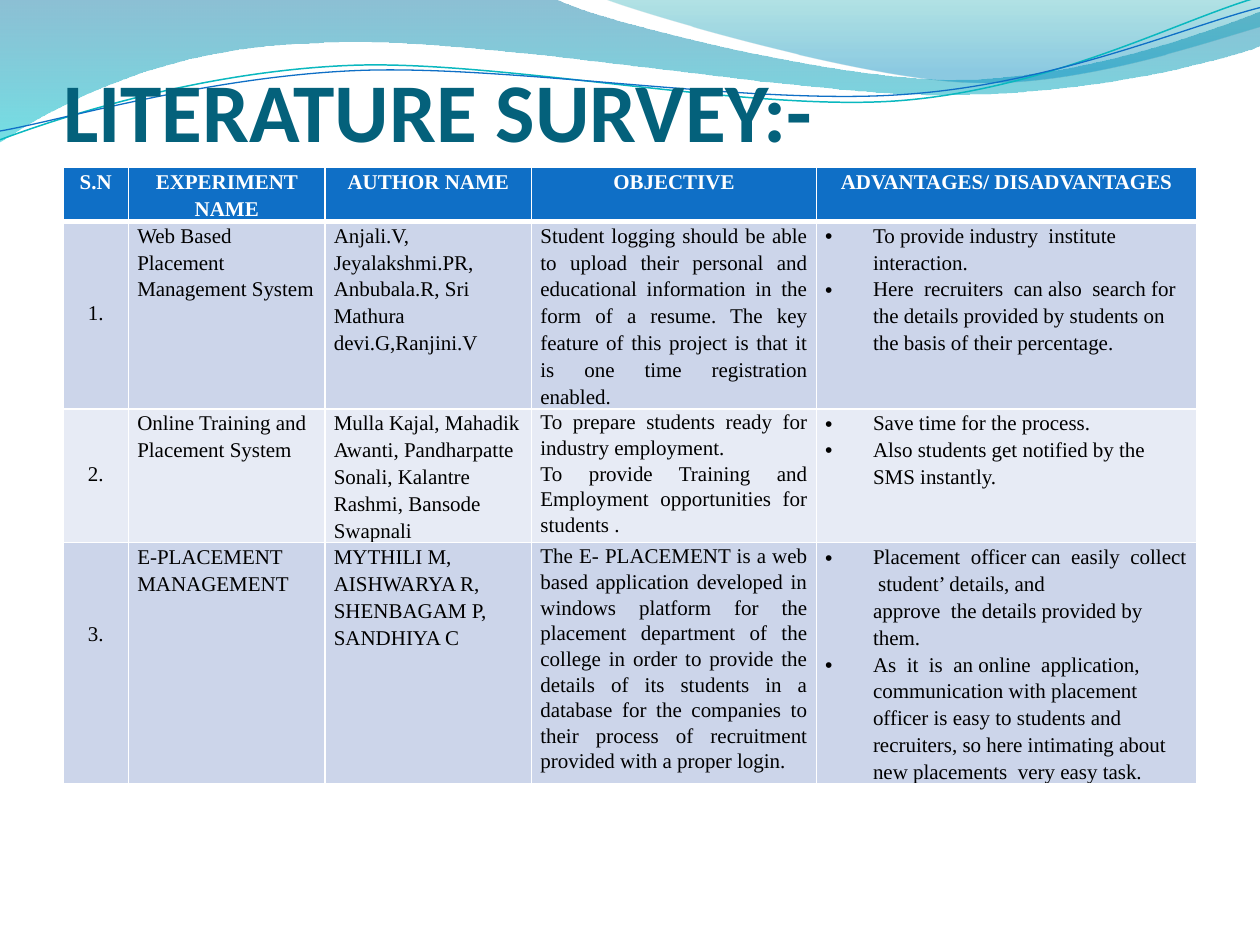
import math
from dataclasses import dataclass

from lxml import etree
from pptx import Presentation
from pptx.dml.color import RGBColor
from pptx.enum.text import MSO_ANCHOR, MSO_AUTO_SIZE, PP_ALIGN
from pptx.oxml.ns import qn
from pptx.util import Inches, Pt

LEFT, CENTER, JUSTIFY = PP_ALIGN.LEFT, PP_ALIGN.CENTER, PP_ALIGN.JUSTIFY
TOP, NO_FIT = MSO_ANCHOR.TOP, MSO_AUTO_SIZE.NONE


@dataclass(frozen=True)
class Theme:
    """Colours, fonts and type sizes of the slide."""
    title: str = "04617B"
    header: str = "0F6FC6"
    bands: tuple = ("CCD5EA", "E7EBF5")
    white: str = "FFFFFF"
    black: str = "000000"
    teal: str = "0AB8BF"
    title_font: str = "Calibri"
    body_font: str = "Times New Roman"
    title_size: float = 47.7
    body_size: float = 12


THEME = Theme()

# Each wave: box, then start point, cubic curves (6 numbers) and lines (2 numbers).
# Each gradient stop: position, colour, opacity, all in percent but the colour.
FILLED_WAVES = [
    ((-0.01, -0.01, 10.02, 1.14),
     [(0, 0), (4.4, -0.01), (4.76, 0.17, 6.64, 0.63, 7.58, 0.63),
      (8.53, 0.63, 9.58, 0.26, 10, 0.09), (10.01, 0.36),
      (9.83, 0.44, 8.7, 0.76, 7.46, 0.75), (6.22, 0.75, 3.82, 0.28, 2.57, 0.34),
      (1.29, 0.36, 0.46, 0.83, -0.01, 1.13), (0, 0)],
     [(0, "0074A1", 45), (100, "00C6CF", 55)]),
    ((4.79, -0.01, 5.21, 0.7),
     [(4.79, -0.01), (5.09, 0.11, 6.82, 0.62, 7.69, 0.65),
      (8.56, 0.69, 9.61, 0.32, 10, 0.21), (10, 0), (4.79, -0.01)],
     [(0, "00A1A9", 30), (80, "008BBF", 45)]),
]
LINE_TURN = 357.3
LINE_WAVES = [
    ((-0.02, 0.22, 10.02, 0.71),
     [(0, 1.11), (0.48, 0.93, 1.58, 0.57, 2.77, 0.52),
      (3.95, 0.47, 5.93, 0.89, 7.13, 0.8), (8.33, 0.71, 9.38, 0.15, 9.98, -0.02)],
     THEME.teal, 0.85),
    ((-0.02, 0.3, 10.03, 0.58),
     [(0, 1.04), (0.47, 0.96, 1.64, 0.61, 2.83, 0.56),
      (4.03, 0.51, 5.97, 0.84, 7.17, 0.75), (8.36, 0.67, 9.41, 0.21, 10, 0.06)],
     THEME.header, 0.75),
]

COLUMNS = [0.52, 1.56, 1.64, 2.26, 3.02]
ROW_HEIGHT, TABLE_HEIGHT = 0.41, 5.29
NUMBER_TOPS = [0.61, 0.4, 0.61]
OBJECTIVE_SPACING = [1.15, 1.1, 1.1]
HEADERS = ["S.N", "EXPERIMENT NAME", "AUTHOR NAME", "OBJECTIVE",
           "ADVANTAGES/ DISADVANTAGES"]
PAPERS = [
    ("Web Based Placement Management System",
     "Anjali.V, Jeyalakshmi.PR, Anbubala.R, Sri Mathura devi.G,Ranjini.V",
     ["Student logging should be able to upload their personal and educational "
      "information in the form of a resume. The key feature of this project is "
      "that it is one time registration enabled."],
     ["To provide industry  institute interaction.",
      "Here  recruiters  can also  search for  the details provided by students "
      "on the basis of their percentage."]),
    ("Online Training and Placement System",
     "Mulla Kajal, Mahadik Awanti, Pandharpatte Sonali, Kalantre Rashmi, "
     "Bansode Swapnali",
     ["To prepare students ready for industry employment.",
      "To provide Training and Employment opportunities for students ."],
     ["Save time for the process.",
      "Also students get notified by the SMS instantly."]),
    ("E-PLACEMENT MANAGEMENT",
     "MYTHILI M, AISHWARYA R, SHENBAGAM P, SANDHIYA C",
     ["The E- PLACEMENT is a web based application developed in windows platform "
      "for the placement department of the college in order to provide the details "
      "of its students in a database for the companies to their process of "
      "recruitment provided with a proper login."],
     ["Placement  officer can  easily  collect  student\u2019 details, and\t approve  "
      "the details provided by them.",
      "As  it  is  an online  application, communication with placement officer is "
      "easy to students and recruiters, so here intimating about new placements  "
      "very easy task."]),
]


def add(parent, tag, **attrs):
    """Append a DrawingML element and return it."""
    return etree.SubElement(parent, qn(tag), {k: str(v) for k, v in attrs.items()})


def add_wave(slide, box, outline, turn=0, close=False):
    """Draw a curved outline in its box, which is turned about its centre."""
    left, top, width, height = box
    corners = [(left + width, top), (left + width, top + height), (left, top + height)]
    builder = slide.shapes.build_freeform(Inches(left), Inches(top))
    builder.add_line_segments([(Inches(x), Inches(y)) for x, y in corners])
    sp = builder.convert_to_shape()
    sp.shadow.inherit = False
    sp.rotation = turn
    cos, sin = math.cos(math.radians(turn)), math.sin(math.radians(turn))
    wave = next(sp.element.iter(qn("a:path")))
    for child in list(wave):
        wave.remove(child)
    for i, part in enumerate(outline):
        tag = "a:cubicBezTo" if len(part) == 6 else "a:lnTo" if i else "a:moveTo"
        command = add(wave, tag)
        for x, y in zip(part[::2], part[1::2]):
            dx, dy = x - left - width / 2, y - top - height / 2
            add(command, "a:pt", x=Inches(dx * cos + dy * sin + width / 2),
                y=Inches(dy * cos - dx * sin + height / 2))
    if close:
        add(wave, "a:close")
    return sp


def add_backdrop(slide):
    """Draw the translucent waves and the two thin lines over them."""
    for box, outline, stops in FILLED_WAVES:
        sp = add_wave(slide, box, outline, close=True)
        sp.line.fill.background()
        sp.fill.gradient()
        grad = sp.element.spPr.find(qn("a:gradFill"))
        for child in list(grad):
            grad.remove(child)
        stop_list = add(grad, "a:gsLst")
        for position, color, opacity in stops:
            stop = add(stop_list, "a:gs", pos=position * 1000)
            add(add(stop, "a:srgbClr", val=color), "a:alpha", val=opacity * 1000)
        add(grad, "a:lin", ang=5400000, scaled=0)
    for box, outline, color, width in LINE_WAVES:
        sp = add_wave(slide, box, outline, LINE_TURN)
        sp.fill.background()
        sp.line.color.rgb = RGBColor.from_string(color)
        sp.line.width = Pt(width)


def add_run(p, text, font, size, color, bold):
    """Add one formatted run to a paragraph."""
    r = p.add_run()
    r.text = text
    r.font.name, r.font.size, r.font.bold = font, Pt(size), bold
    r.font.color.rgb = RGBColor.from_string(color)


def add_title(slide, text, left, top, width, height):
    """Place and fill the title placeholder in front of the backdrop."""
    sp = slide.shapes.title
    sp.left, sp.top, sp.width, sp.height = map(Inches, (left, top, width, height))
    slide.shapes.element.append(sp.element)
    tf = sp.text_frame
    tf.auto_size, tf.vertical_anchor = NO_FIT, TOP
    tf.margin_left = tf.margin_right = tf.margin_top = tf.margin_bottom = 0
    p = tf.paragraphs[0]
    p.alignment = LEFT
    add_run(p, text, THEME.title_font, THEME.title_size, THEME.title, True)


def fill_cell(cell, texts, fill, align=LEFT, spacing=1.15, top=0,
              bullets=False, header=False):
    """Write a cell's paragraphs and set its fill, margins and borders."""
    cell.margin_left = cell.margin_right = Inches(0.07)
    cell.margin_top, cell.margin_bottom = Inches(top), 0
    tf = cell.text_frame
    for i, text in enumerate(texts):
        p = tf.add_paragraph() if i else tf.paragraphs[0]
        p.alignment, p.line_spacing = align, spacing
        if bullets:
            pPr = p._p.get_or_add_pPr()
            pPr.set("marL", str(Inches(0.38)))
            pPr.set("indent", str(-Inches(0.38)))
            add(pPr, "a:buFont", typeface="Arial")
            add(pPr, "a:buChar", char="\u2022")
            add(add(pPr, "a:tabLst"), "a:tab", pos=Inches(3.74), algn="l")
        add_run(p, text, THEME.body_font, THEME.body_size,
                THEME.white if header else THEME.black, header)
    tcPr = cell._tc.get_or_add_tcPr()
    for side in "LRTB":
        width = 3 if header and side == "B" else 1
        line = add(tcPr, f"a:ln{side}", w=Pt(width))
        add(add(line, "a:solidFill"), "a:srgbClr", val=THEME.white)
    cell.fill.solid()
    cell.fill.fore_color.rgb = RGBColor.from_string(fill)


def add_survey_table(slide, left, top):
    """Build the table of surveyed papers, whose rows grow with their text."""
    frame = slide.shapes.add_table(
        len(PAPERS) + 1, len(COLUMNS), Inches(left), Inches(top),
        Inches(sum(COLUMNS)), Inches(TABLE_HEIGHT))
    table = frame.table
    for column, width in zip(table.columns, COLUMNS):
        column.width = Inches(width)
    for row in table.rows:
        row.height = Inches(ROW_HEIGHT)
    frame.height = Inches(TABLE_HEIGHT)
    for i, text in enumerate(HEADERS):
        fill_cell(table.cell(0, i), [text], THEME.header, CENTER, header=True)
    for i, (name, authors, objective, remarks) in enumerate(PAPERS):
        cells, fill = table.rows[i + 1].cells, THEME.bands[i % 2]
        fill_cell(cells[0], [f"{i + 1}."], fill, CENTER, top=NUMBER_TOPS[i])
        fill_cell(cells[1], [name], fill)
        fill_cell(cells[2], [authors], fill)
        fill_cell(cells[3], objective, fill, JUSTIFY, OBJECTIVE_SPACING[i])
        fill_cell(cells[4], remarks, fill, bullets=True)


prs = Presentation()
prs.slide_width, prs.slide_height = Inches(10), Inches(7.5)
slide = prs.slides.add_slide(prs.slide_layouts[5])
add_backdrop(slide)
add_title(slide, "LITERATURE SURVEY:-", 0.5, 0.47, 9, 1.55)
add_survey_table(slide, 0.5, 1.33)
prs.save("out.pptx")
